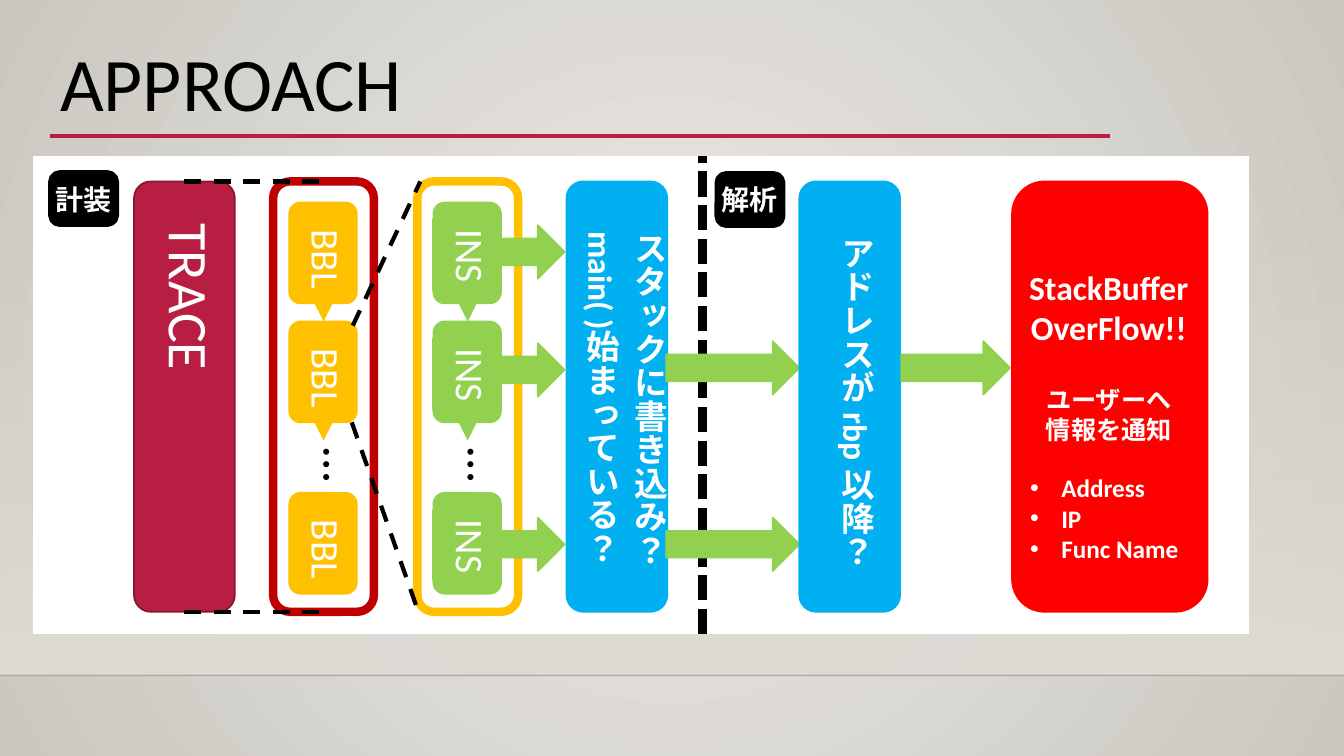
from lxml import etree
from pptx import Presentation
from pptx import util as u
from pptx.dml.color import RGBColor
from pptx.enum import dml, lang, shapes, text
from pptx.oxml import parse_xml
from pptx.oxml.ns import qn

CELL = u.Inches(0.1)  # the slide is a grid of 133.3 columns by 75 rows
COLUMNS, ROWS = 133.33, 75

BLACK = RGBColor(0x00, 0x00, 0x00)
WHITE = RGBColor(0xFF, 0xFF, 0xFF)
CRIMSON = RGBColor(0xB7, 0x1E, 0x42)
CRIMSON_EDGE = RGBColor(0x87, 0x16, 0x31)
DARK_RED = RGBColor(0xC0, 0x00, 0x00)
AMBER = RGBColor(0xFF, 0xC0, 0x00)
GREEN = RGBColor(0x92, 0xD0, 0x50)
BLUE = RGBColor(0x00, 0xB0, 0xF0)
RED = RGBColor(0xFF, 0x00, 0x00)
WALL_LIGHT = RGBColor(0xEC, 0xEA, 0xE7)
WALL_DARK = RGBColor(0xCA, 0xC7, 0xC1)
WALL_BASE = RGBColor(0xDF, 0xDB, 0xD5)

FONT = "Calibri"
ROUND = shapes.MSO_SHAPE.ROUNDED_RECTANGLE
RECT = shapes.MSO_SHAPE.RECTANGLE
ARROW = shapes.MSO_SHAPE.RIGHT_ARROW
DASH = dml.MSO_LINE.DASH
CENTER = text.PP_ALIGN.CENTER

STAGE_TOP, STAGE_HEIGHT, STAGE_WIDTH = 18, 42.7, 10
STAGE_BOTTOM = STAGE_TOP + STAGE_HEIGHT
CARD_TOPS = (20.1, 31.9, 48.9)
CARD_WIDTH, CARD_HEIGHT = 6.7, 10
ARROW_HEIGHT = 5.3


def grid(*cells):
    return [round(cell * CELL) for cell in cells]


def gradient(first, last, first_alpha, direction):
    """Return a two-stop gradFill element."""
    return parse_xml(
        '<a:gradFill xmlns:a="http://schemas.openxmlformats.org/drawingml/2006/main"'
        f' rotWithShape="1"><a:gsLst><a:gs pos="0"><a:srgbClr val="{first}">'
        f'<a:alpha val="{first_alpha}"/></a:srgbClr></a:gs>'
        f'<a:gs pos="100000"><a:srgbClr val="{last}"/></a:gs></a:gsLst>'
        f'{direction}</a:gradFill>')


def swap_gradient(holder, new):
    old = holder.find(qn("a:gradFill"))
    holder.replace(old, new)


def block(slide, kind, left, top, width, height, fill=None, edge=None, weight=1.25):
    part = slide.shapes.add_shape(kind, *grid(left, top, width, height))
    part.shadow.inherit = False
    if fill is None:
        part.fill.background()
    else:
        part.fill.solid()
        part.fill.fore_color.rgb = fill
    if edge is None:
        part.line.fill.background()
    else:
        part.line.color.rgb = edge
        part.line.width = u.Pt(weight)
    return part


def stroke(slide, start, end, color, weight, dash=None, arrow=False):
    part = slide.shapes.add_connector(
        shapes.MSO_CONNECTOR.STRAIGHT, *grid(*start, *end))
    part.line.color.rgb = color
    part.line.width = u.Pt(weight)
    if dash is not None:
        part.line.dash_style = dash
    if arrow:
        etree.SubElement(part.line._get_or_add_ln(), qn("a:tailEnd"), type="triangle")
    etree.SubElement(part._element.spPr, qn("a:effectLst"))
    return part


def add_bullet(paragraph):
    props = paragraph._p.get_or_add_pPr()
    props.set("marL", str(u.Inches(0.31)))
    props.set("indent", str(-u.Inches(0.31)))
    etree.SubElement(props, qn("a:buFont"), typeface="Arial")
    etree.SubElement(props, qn("a:buChar"), char="•")


def label(slide, left, top, width, height, lines, size, color=WHITE, bold=False,
          vertical=False, align=None, wrap=False, bullets=False, fill=None):
    part = slide.shapes.add_textbox(*grid(left, top, width, height))
    if fill is not None:
        part.fill.solid()
        part.fill.fore_color.rgb = fill
        part.line.color.rgb = fill
        part.line.width = u.Pt(0.75)
    frame = part.text_frame
    frame.word_wrap = wrap
    frame.auto_size = text.MSO_AUTO_SIZE.SHAPE_TO_FIT_TEXT
    if vertical:
        frame._txBody.bodyPr.set("vert", "eaVert")
    for index, line in enumerate(lines):
        paragraph = frame.add_paragraph() if index else frame.paragraphs[0]
        if bullets:
            add_bullet(paragraph)
        if align is not None:
            paragraph.alignment = align
        run = paragraph.add_run()
        run.text = line
        run.font.name = FONT
        run.font.size = u.Pt(size)
        run.font.bold = bold
        run.font.color.rgb = color
        if not line.isascii():
            run.font.language_id = lang.MSO_LANGUAGE_ID.JAPANESE
    return part


def stage(slide, left, fill, edge, weight=1.25, width=STAGE_WIDTH):
    block(slide, ROUND, left, STAGE_TOP, width, STAGE_HEIGHT, fill, edge, weight)


def card_chain(slide, left, name, color, edge, name_height, name_fill=None):
    """Draw a framed column of three cards, the second leading on to an ellipsis."""
    stage(slide, left, None, edge, 6)
    for top in CARD_TOPS:
        block(slide, ROUND, left + 1.6, top, CARD_WIDTH, CARD_HEIGHT, color, color)
    for top in CARD_TOPS[:2]:
        bottom = top + CARD_HEIGHT
        stroke(slide, (left + 5, bottom), (left + 5, bottom + 1.8), color, 6, arrow=True)
    for top in CARD_TOPS:
        label(slide, left + 1.5, top + 1.7, 6.7, name_height, [name], 28,
              vertical=True, fill=name_fill)
    label(slide, left + 2.4, 43.4, 8.1, 6.1, ["…"], 36, BLACK, vertical=True)


def flow_arrow(slide, left, middle, width):
    block(slide, ARROW, left, middle - ARROW_HEIGHT / 2, width, ARROW_HEIGHT, GREEN, GREEN)


def phase_tag(slide, left, top, name):
    block(slide, ROUND, left, top, 6.4, 5, BLACK, BLACK, 4.5)
    label(slide, left - 0.6, 17.6, 7.6, 4.4, [name], 20, bold=True)


def question(slide, left, top, height, words):
    label(slide, left, top, 6.1, height, [words], 24, bold=True, vertical=True)


def backdrop(slide):
    circle = ('<a:path path="circle"><a:fillToRect l="50000" t="50000"'
              ' r="50000" b="50000"/></a:path>')
    slide.background.fill.gradient()
    swap_gradient(slide._element.cSld.find(qn("p:bg")).find(qn("p:bgPr")),
                  gradient(WALL_LIGHT, WALL_DARK, 100000, circle))
    wall = block(slide, RECT, 0, 22.1, COLUMNS, 44.9)
    wall.fill.gradient()
    swap_gradient(wall._element.spPr,
                  gradient(WALL_BASE, WALL_BASE, 0, '<a:lin ang="5400000" scaled="0"/>'))
    floor = stroke(slide, (0, 67), (COLUMNS, 67), BLACK, 1)
    floor_color = floor.line._get_or_add_ln().find(".//" + qn("a:srgbClr"))
    etree.SubElement(floor_color, qn("a:alpha"), val="20000")


def main():
    deck = Presentation()
    deck.slide_width, deck.slide_height = grid(COLUMNS, ROWS)
    slide = deck.slides.add_slide(deck.slide_layouts[6])
    backdrop(slide)

    title = label(slide, 5, 4.1, 105, 11.5, ["APPROACH"], 54, BLACK, wrap=True)
    title.text_frame.auto_size = text.MSO_AUTO_SIZE.NONE
    title.text_frame.paragraphs[0].line_spacing = 0.9
    stroke(slide, (5, 13.5), (110.1, 13.5), CRIMSON, 3)
    block(slide, RECT, 3.3, 15.5, 120.6, 47.4, WHITE)

    stage(slide, 13.3, CRIMSON, CRIMSON_EDGE)
    label(slide, 14, 21.2, 8.8, 36.3, ["TRACE"], 40, vertical=True, align=CENTER, wrap=True)
    card_chain(slide, 27.1, "BBL", AMBER, DARK_RED, 7.4)
    card_chain(slide, 41.4, "INS", GREEN, AMBER, 6.9, GREEN)
    for start, end in (((18.3, STAGE_TOP), (32.1, STAGE_TOP)),
                       ((18.3, STAGE_BOTTOM), (32.1, STAGE_BOTTOM)),
                       ((35, 32.3), (41.7, STAGE_TOP)),
                       ((34.9, 41.9), (41.5, STAGE_BOTTOM))):
        stroke(slide, start, end, BLACK, 3, DASH)
    stroke(slide, (69.7, 62.9), (69.7, 15.5), BLACK, 6, dml.MSO_LINE.SQUARE_DOT)

    for middle in (25, 36.7, 54):
        flow_arrow(slide, 49.5, middle, 6.5)
    stage(slide, 56.2, BLUE, BLUE)
    question(slide, 60.9, 22, 34.7, "スタックに書き込み？")
    question(slide, 56.1, 22, 36, "main( )始まっている？")
    for middle in (36.5, 54):
        flow_arrow(slide, 66.1, middle, 13.2)
    stage(slide, 79.3, BLUE, BLUE)
    question(slide, 81.4, 22.5, 35.2, "アドレスが rbp 以降？")
    flow_arrow(slide, 89.4, 36.5, 10.8)

    stage(slide, 100.4, RED, RED, width=19.4)
    label(slide, 99.8, 26, 20.4, 9.1, ["StackBuffer", "OverFlow!!"], 24,
          bold=True, align=CENTER)
    label(slide, 102.7, 37.6, 14.6, 7.1, ["ユーザーへ", "情報を通知"], 18,
          bold=True, align=CENTER)
    label(slide, 101.2, 46.4, 18.9, 10.1, ["Address", "IP", "Func Name"], 18,
          bold=True, bullets=True)
    phase_tag(slide, 5.1, 17.2, "計装")
    phase_tag(slide, 71.2, 17.3, "解析")
    deck.save("out.pptx")


if __name__ == "__main__":
    main()
